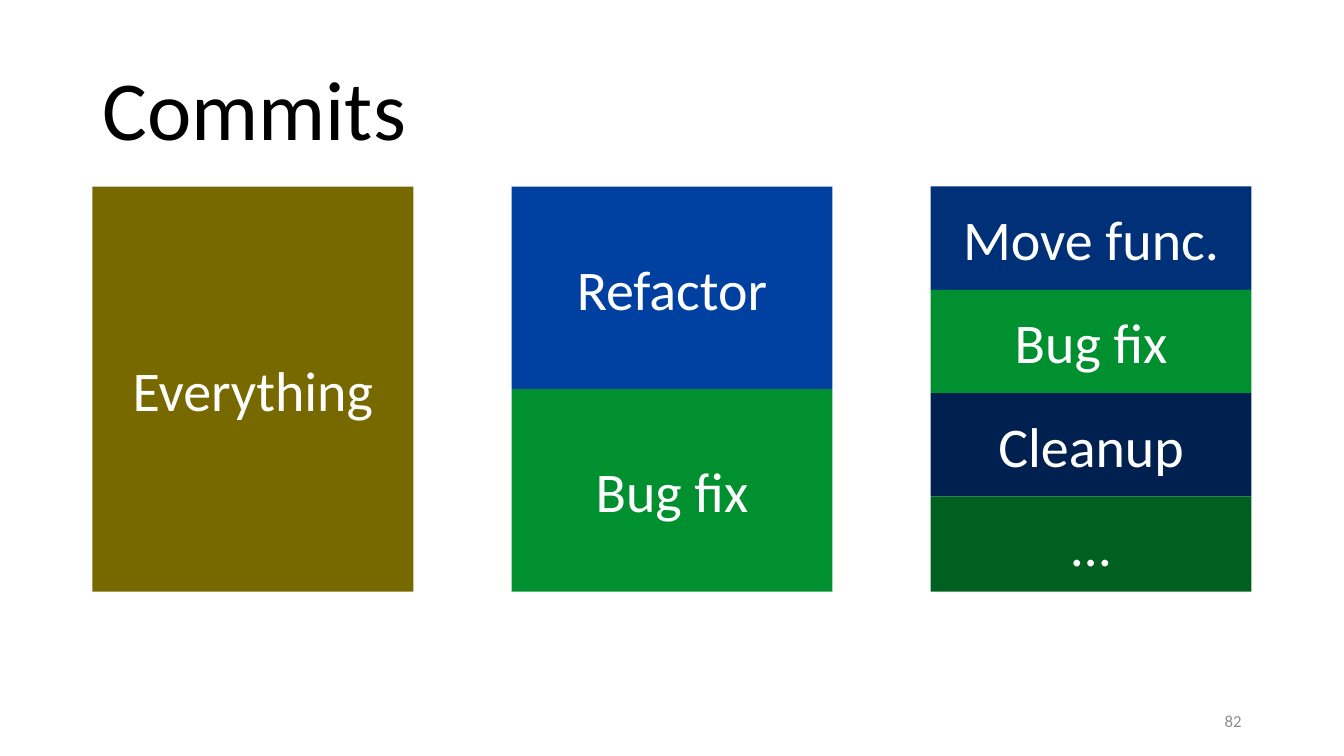
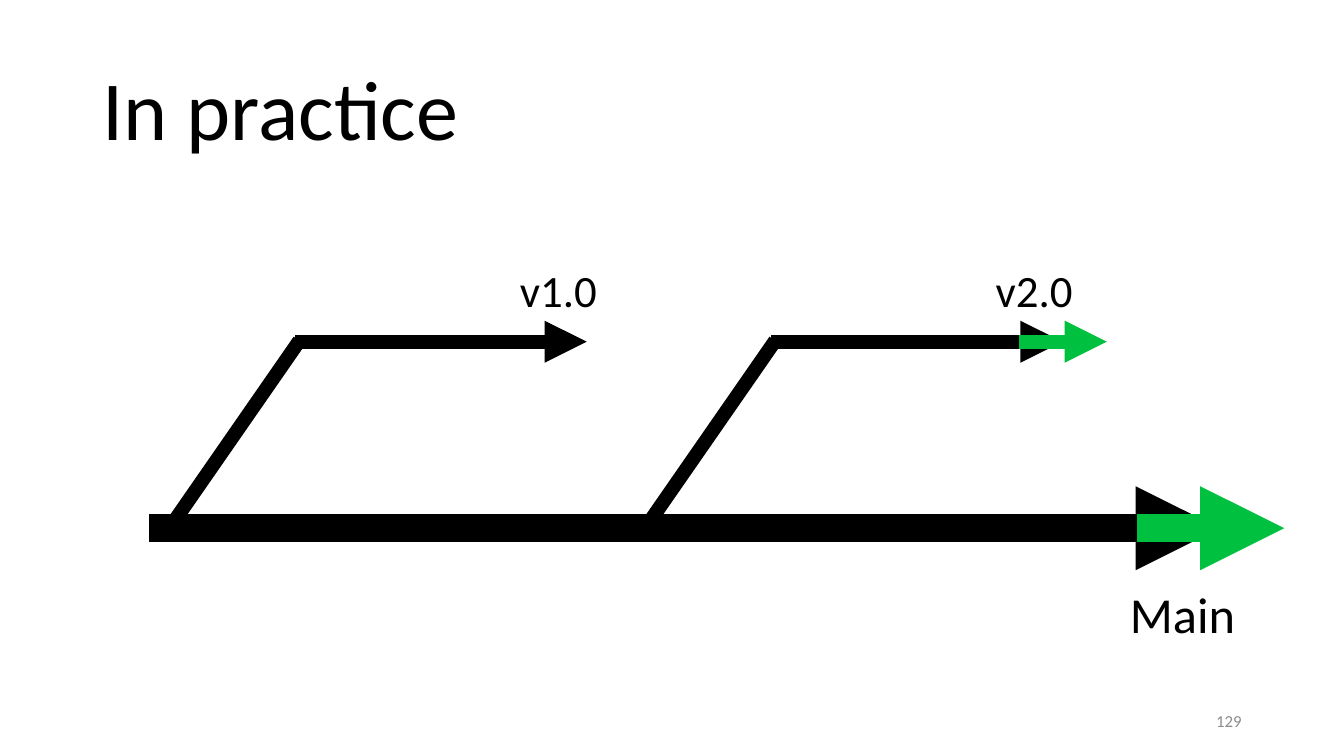
from dataclasses import dataclass
from typing import Any, NamedTuple

from lxml.etree import SubElement
from pptx import Presentation
from pptx.dml.color import RGBColor
from pptx.enum.shapes import MSO_CONNECTOR, MSO_SHAPE
from pptx.enum.text import MSO_ANCHOR, MSO_AUTO_SIZE, PP_ALIGN
from pptx.oxml.ns import qn
from pptx.util import Inches, Pt

WIDE, HIGH = Inches(13.33), Inches(7.5)


@dataclass(frozen=True)
class Theme:
    font: str = "Calibri"
    black: str = "000000"
    white: str = "FFFFFF"
    gray: str = "8C8C8C"
    olive: str = "786800"
    blue: str = "0040A0"
    navy: str = "003078"
    deep: str = "002050"
    green: str = "009030"
    forest: str = "006020"
    lime: str = "00C040"
    title: int = 60
    block: int = 40
    main: int = 36
    branch: int = 32
    number: int = 12
    thick: int = 20
    thin: int = 10


THEME = Theme()


class Box(NamedTuple):
    """Left, top, width and height in percent of the slide."""
    left: float
    top: float
    width: float
    height: float


class Block(NamedTuple):
    text: str
    fill: str
    share: float


class Arrow(NamedTuple):
    """A line in percent of the slide, with a head at its end if wanted."""
    x1: float
    y1: float
    x2: float
    y2: float
    width: int
    color: str = THEME.black
    head: bool = True


TITLE = Box(6.88, 5.32, 86.25, 19.33)
NUMBER = Box(70.63, 92.69, 22.5, 5.32)

STACK = Box(6.88, 24.67, 23.88, 53.6)
STEP = 31.18
STACKS = (
    (Block("Everything", THEME.olive, 1),),
    (Block("Refactor", THEME.blue, 0.5), Block("Bug fix", THEME.green, 0.5)),
    (
        Block("Move func.", THEME.navy, 0.255),
        Block("Bug fix", THEME.green, 0.255),
        Block("Cleanup", THEME.deep, 0.255),
        Block("…", THEME.forest, 0.235),
    ),
)

TRUNK, LIMB = 69.87, 45.2
SHIFT = 35.4
RELEASES = ("v1.0", "v2.0")
UPDATES = (
    Arrow(75.83, LIMB, 82.35, LIMB, THEME.thin, THEME.lime),
    Arrow(84.6, TRUNK, 95.55, TRUNK, THEME.thick, THEME.lime),
)


def across(share: float) -> int:
    return round(WIDE * share / 100)


def down(share: float) -> int:
    return round(HIGH * share / 100)


def scale(box: Box) -> tuple[int, int, int, int]:
    return across(box.left), down(box.top), across(box.width), down(box.height)


def apply(target: Any, values: dict[str, Any]) -> None:
    for name, value in values.items():
        setattr(target, name, value)


def write(shape: Any, text: str, size: int, color: str,
          align: PP_ALIGN = PP_ALIGN.CENTER,
          anchor: MSO_ANCHOR = MSO_ANCHOR.MIDDLE,
          fit: MSO_AUTO_SIZE = MSO_AUTO_SIZE.NONE) -> None:
    frame = shape.text_frame
    frame.text = text
    apply(frame, {"word_wrap": True, "auto_size": fit,
                  "vertical_anchor": anchor})
    line = frame.paragraphs[0]
    line.alignment = align
    font = line.runs[0].font
    apply(font, {"name": THEME.font, "size": Pt(size)})
    font.color.rgb = RGBColor.from_string(color)


def label(shapes: Any, box: Box, text: str, size: int) -> None:
    write(shapes.add_textbox(*scale(box)), text, size, THEME.black,
          anchor=MSO_ANCHOR.TOP, fit=MSO_AUTO_SIZE.SHAPE_TO_FIT_TEXT)


def block(shapes: Any, box: Box, item: Block) -> None:
    shape = shapes.add_shape(MSO_SHAPE.RECTANGLE, *scale(box))
    shape.shadow.inherit = False
    shape.fill.solid()
    shape.fill.fore_color.rgb = RGBColor.from_string(item.fill)
    shape.line.fill.background()
    write(shape, item.text, THEME.block, THEME.white)


def draw(shapes: Any, arrow: Arrow) -> None:
    link = shapes.add_connector(
        MSO_CONNECTOR.STRAIGHT, across(arrow.x1), down(arrow.y1),
        across(arrow.x2), down(arrow.y2))
    link.line.width = Pt(arrow.width)
    link.line.color.rgb = RGBColor.from_string(arrow.color)
    props = link._element.spPr
    if arrow.head:
        SubElement(props.find(qn("a:ln")), qn("a:tailEnd"), type="triangle")
    SubElement(props, qn("a:effectLst"))


def start(deck: Any, title: str, number: int) -> Any:
    """Add a slide with its title and number and return its shapes."""
    shapes = deck.slides.add_slide(deck.slide_layouts[5]).shapes
    head = shapes.title
    apply(head, dict(zip(("left", "top", "width", "height"), scale(TITLE))))
    write(head, title, THEME.title, THEME.black, PP_ALIGN.LEFT)
    head.text_frame.paragraphs[0].line_spacing = 0.9
    write(shapes.add_textbox(*scale(NUMBER)), str(number), THEME.number,
          THEME.gray, PP_ALIGN.RIGHT)
    return shapes


def commits(deck: Any) -> None:
    shapes = start(deck, "Commits", 82)
    for col, stack in enumerate(STACKS):
        group = shapes.add_group_shape().shapes if len(stack) > 1 else shapes
        top = STACK.top
        for item in stack:
            height = STACK.height * item.share
            block(group, Box(STACK.left + col * STEP, top,
                             STACK.width, height), item)
            top += height


def release(shapes: Any, name: str, shift: float) -> None:
    draw(shapes, Arrow(21.98 + shift, LIMB, 43.65 + shift, LIMB, THEME.thin))
    draw(shapes, Arrow(22.28 + shift, 45.07, 12.6 + shift, TRUNK,
                       THEME.thin, head=False))
    label(shapes, Box(33.45 + shift, 34.13, 16.2, 8.53), name, THEME.branch)


def practice(deck: Any) -> None:
    shapes = start(deck, "In practice", 129)
    draw(shapes, Arrow(11.1, TRUNK, 90.75, TRUNK, THEME.thick))
    label(shapes, Box(79.88, 76.53, 16.2, 9.47), "Main", THEME.main)
    for index, name in enumerate(RELEASES):
        release(shapes.add_group_shape().shapes, name, index * SHIFT)
    for arrow in UPDATES:
        draw(shapes, arrow)


def main() -> None:
    deck = Presentation()
    apply(deck, {"slide_width": WIDE, "slide_height": HIGH})
    commits(deck)
    practice(deck)
    deck.save("out.pptx")


if __name__ == "__main__":
    main()
